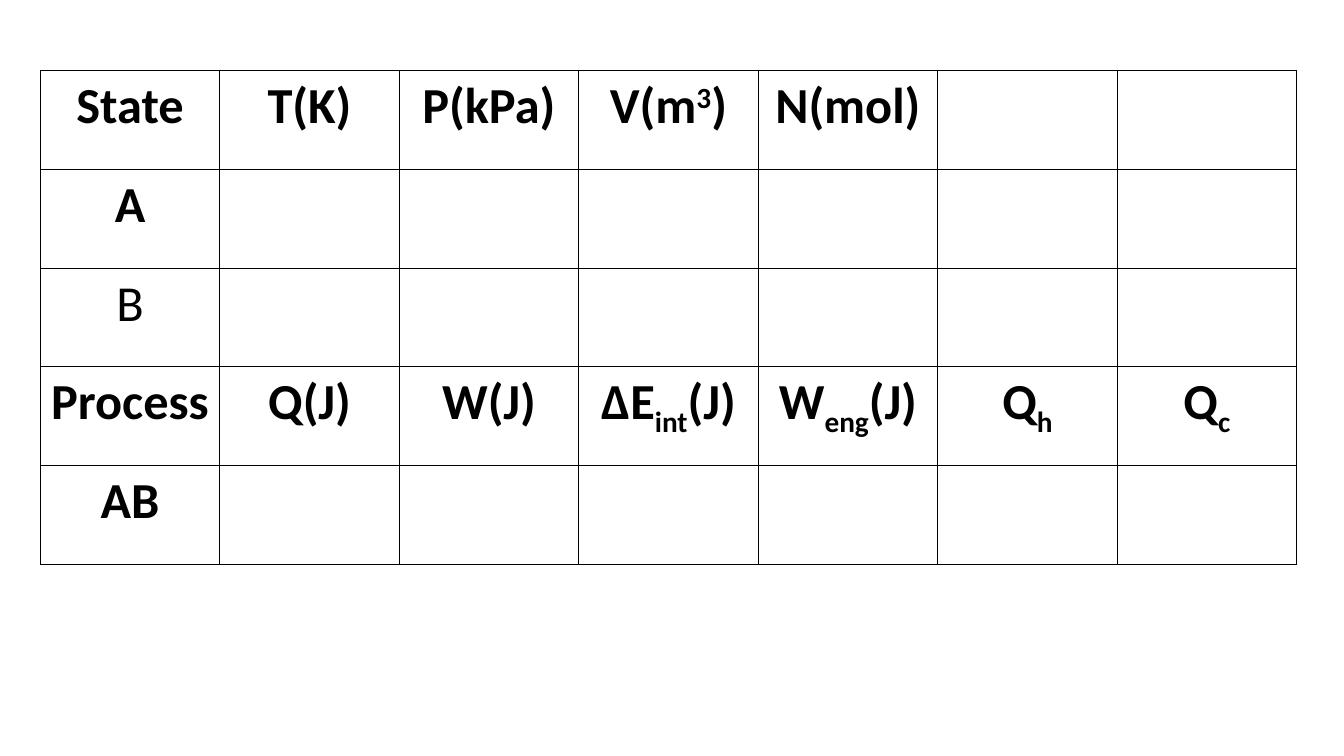
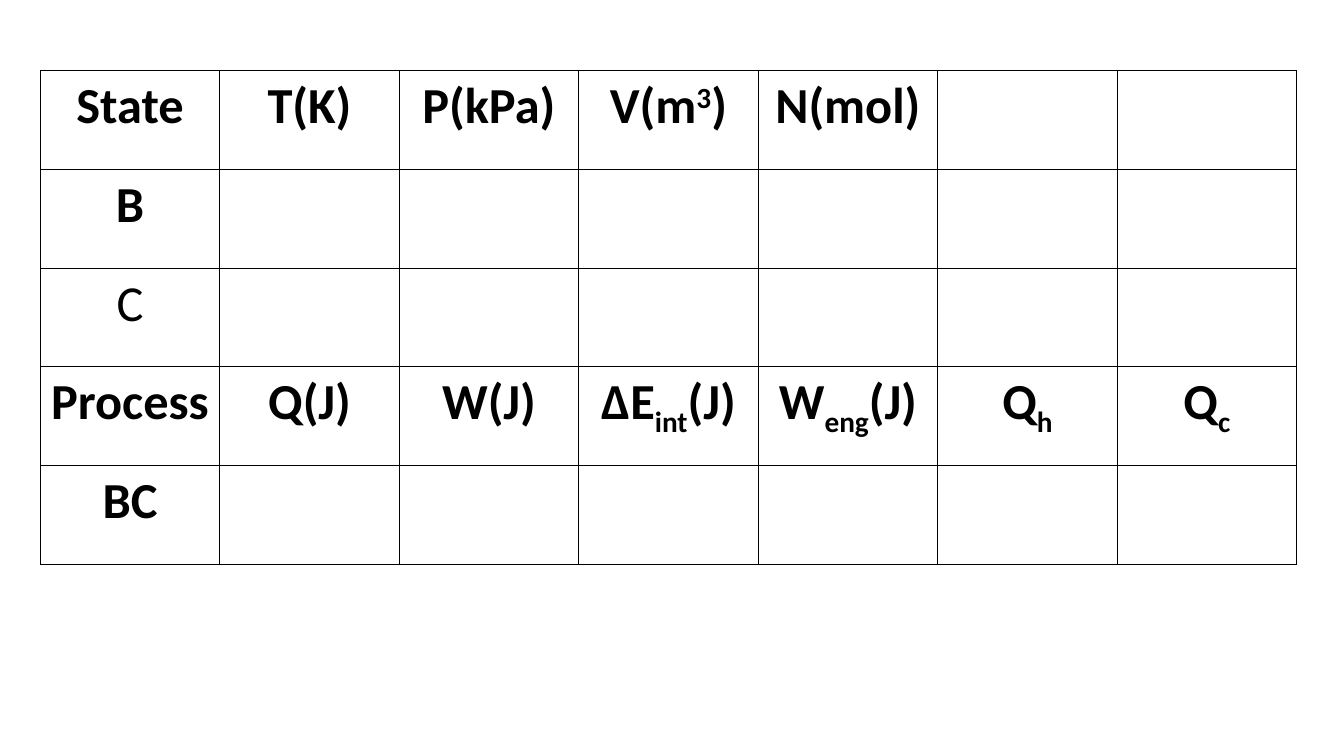
from lxml.etree import SubElement as Sub
from pptx import Presentation as Deck
from pptx.dml.color import RGBColor as Rgb
from pptx.enum.text import MSO_VERTICAL_ANCHOR as Anchor, PP_PARAGRAPH_ALIGNMENT as Align
from pptx.oxml import parse_xml
from pptx.oxml.ns import nsdecls, qn
from pptx.util import Inches, Pt

BLACK = Rgb(0, 0, 0)
FONT = "Calibri"
SIZE = Pt(36)
LINE = Pt(1)
WIDE, HIGH = Inches(13.33), Inches(7.5)
LEFT, TOP = Inches(0.4), Inches(0.7)
COL, ROW = Inches(1.78), Inches(0.98)
COUNT = 7

STATE = ["State", "T(K)", "P(kPa)", "V(m|3|)", "N(mol)"]
PROCESS = ["Process", "Q(J)", "W(J)", "ΔE|int|(J)", "W|eng|(J)", "Q|h", "Q|c"]
SUPER, LOWER = 30000, -25000
PAIRS = ["AB", "BC"]
PLAIN_ROW = 2


class Sheet:
    def __init__(self):
        self.deck = Deck()
        self.deck.slide_width, self.deck.slide_height = WIDE, HIGH
        self.slide = None

    def page(self):
        self.slide = self.deck.slides.add_slide(self.deck.slide_layouts[6])

    def grid(self, rows):
        frame = self.slide.shapes.add_table(
            len(rows), COUNT, LEFT, TOP, COL * COUNT, ROW * len(rows))
        table = frame.table
        table.first_row = table.horz_banding = False
        for y, row in enumerate(rows):
            for x in range(COUNT):
                cell = table.cell(y, x)
                self.frame(cell)
                if x < len(row):
                    self.label(cell, row[x], y != PLAIN_ROW)

    def frame(self, cell):
        cell.fill.background()
        cell.vertical_anchor = Anchor.TOP
        props = cell._tc.get_or_add_tcPr()
        for spot, side in enumerate(("lnL", "lnR", "lnT", "lnB")):
            edge = parse_xml(f'<a:{side} {nsdecls("a")} w="{LINE}"/>')
            fill = Sub(edge, qn("a:solidFill"))
            Sub(fill, qn("a:srgbClr"), val=str(BLACK))
            props.insert(spot, edge)

    def label(self, cell, text, bold):
        para = cell.text_frame.paragraphs[0]
        para.alignment = Align.CENTER
        for spot, part in enumerate(text.split("|")):
            run = para.add_run()
            run.text = part
            font = run.font
            font.name, font.size, font.bold = FONT, SIZE, bold
            font.color.rgb = BLACK
            if spot % 2:
                shift = SUPER if part.isdigit() else LOWER
                run._r.get_or_add_rPr().set("baseline", str(shift))


def main():
    sheet = Sheet()
    for pair in PAIRS:
        start, end = pair
        sheet.page()
        sheet.grid([STATE, [start], [end], PROCESS, [pair]])
    sheet.deck.save("out.pptx")


if __name__ == "__main__":
    main()
